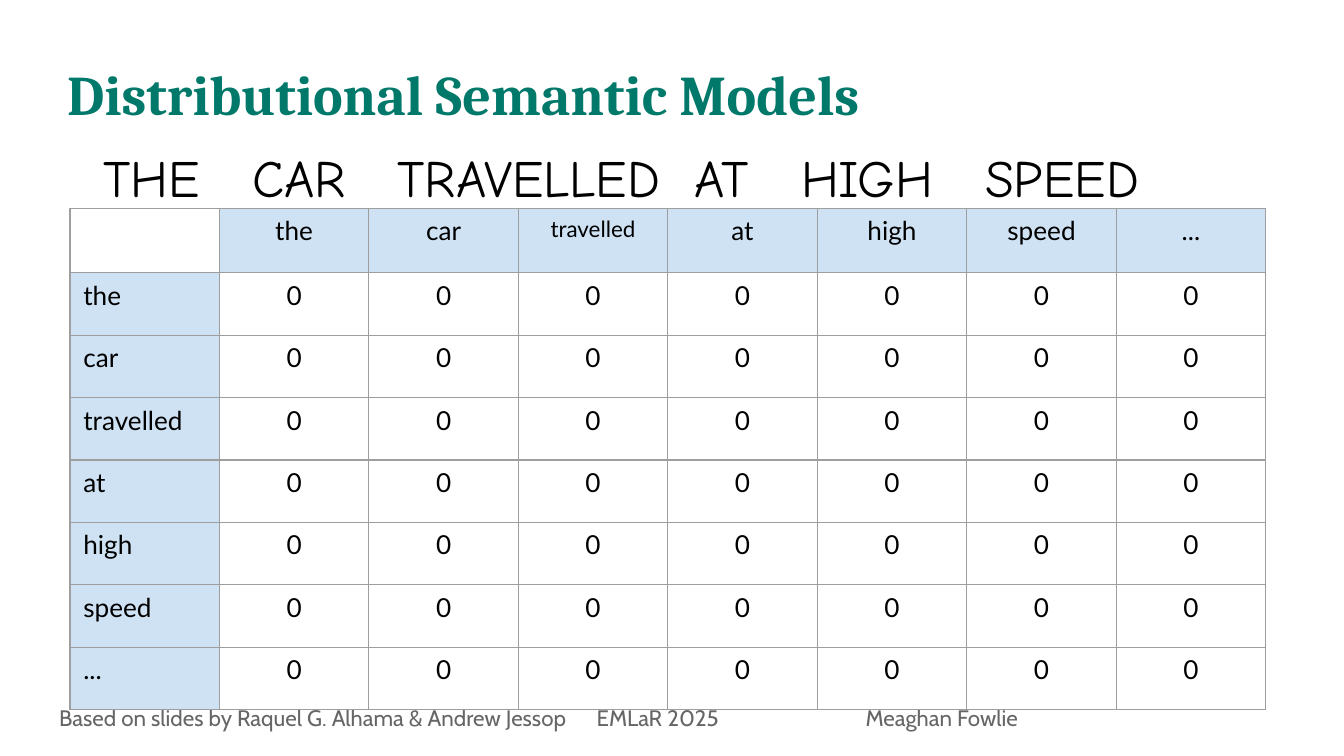
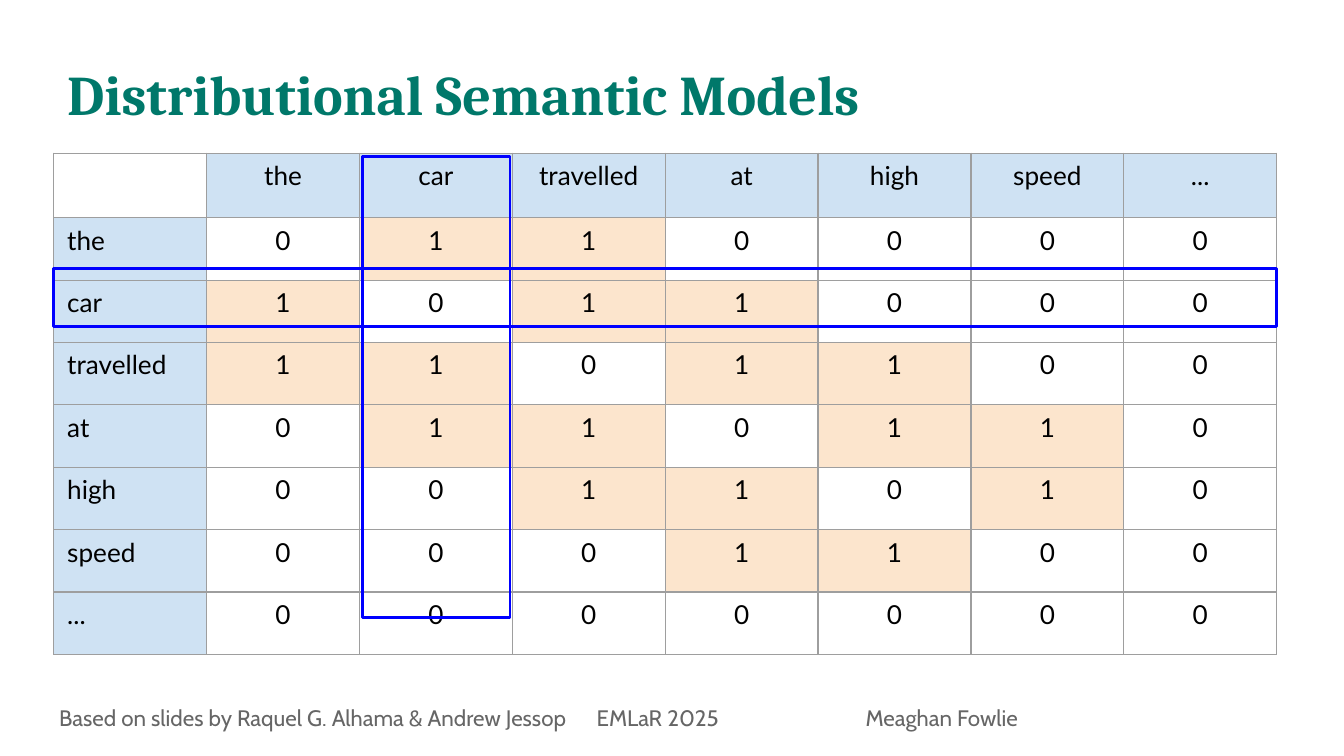
from dataclasses import dataclass

from lxml.etree import SubElement
from pptx import Presentation
from pptx.dml.color import RGBColor
from pptx.enum.shapes import MSO_SHAPE
from pptx.enum.text import MSO_ANCHOR, MSO_AUTO_SIZE, PP_ALIGN
from pptx.oxml.ns import qn
from pptx.slide import Slide, SlideLayout
from pptx.table import _Cell
from pptx.text.text import TextFrame
from pptx.util import Inches, Pt

COLORS = {
    "title": "00786A",
    "text": "000000",
    "footer": "666666",
    "paper": "FFFFFF",
    "label": "CFE2F3",
    "hit": "FCE5CD",
    "grid": "9E9E9E",
    "frame": "0000FF",
}
WORDS = ["the", "car", "travelled", "at", "high", "speed"]
LABELS = WORDS + ["..."]
WINDOW = 2
GRID_HEIGHT = 3.73
HEAD_HEIGHT = 0.48
ROW_HEIGHT = (GRID_HEIGHT - HEAD_HEIGHT) / len(LABELS)


@dataclass
class Box:
    left: float
    top: float
    width: float
    height: float
    turn: float = 0

    def place(self) -> tuple:
        return tuple(Inches(n) for n in (self.left, self.top, self.width, self.height))


@dataclass
class Grid:
    left: float
    top: float
    width: float
    counts: list[list[int]]
    long_size: int = 14


TITLE = Box(0.5, 0.22, 9, 0.94)
FOOTER = Box(0.44, 5.24, 8.6, 0.39)
PHRASE = Box(0.7, 1.05, 8.6, 0.51)
FRAMES = [Box(0.4, 2, 9.1, 0.43), Box(1.53, 2.33, 3.43, 1.1, 90)]


def rgb(name: str) -> RGBColor:
    return RGBColor.from_string(COLORS[name])


def write(frame: TextFrame, text: str, *, size: int, font: str, color: str = "text",
          bold: bool = False, align: PP_ALIGN = PP_ALIGN.LEFT,
          tabs: tuple[float, ...] = ()) -> None:
    frame.text = text
    line = frame.paragraphs[0]
    line.alignment = align
    if tabs:
        stops = SubElement(line._p.get_or_add_pPr(), qn("a:tabLst"))
        for stop in tabs:
            SubElement(stops, qn("a:tab"), pos=str(Inches(stop)), algn="l")
    line.font.size = Pt(size)
    line.font.name = font
    line.font.bold = bold
    line.font.color.rgb = rgb(color)


def set_frame(frame: TextFrame, side: float = 0, edge: float = 0) -> None:
    frame.word_wrap = True
    frame.auto_size = MSO_AUTO_SIZE.NONE
    frame.margin_left = frame.margin_right = Inches(side)
    frame.margin_top = frame.margin_bottom = Inches(edge)


def add_title(slide: Slide) -> None:
    title = slide.shapes.title
    title.left, title.top, title.width, title.height = TITLE.place()
    set_frame(title.text_frame)
    title.text_frame.vertical_anchor = MSO_ANCHOR.MIDDLE
    write(title.text_frame, "Distributional Semantic Models",
          size=30, font="Cambria", color="title", bold=True)
    slide.shapes.element.append(title.element)


def add_footer(slide: Slide, layout: SlideLayout) -> None:
    box = slide.shapes.add_textbox(*FOOTER.place())
    set_frame(box.text_frame)
    write(box.text_frame,
          "Based on slides by Raquel G. Alhama & Andrew Jessop\tEMLaR 2025\t\tMeaghan Fowlie",
          size=12, font="Cabin", color="footer", tabs=(4, 5, 6))
    layout.shapes.element.append(box.element)


def add_phrase(slide: Slide) -> None:
    box = slide.shapes.add_textbox(*PHRASE.place())
    set_frame(box.text_frame, 0.07, 0.03)
    write(box.text_frame, "\t".join(WORDS).upper(), size=28, font="Comic Neue",
          tabs=(1.11, 2.19, 4.4, 5.19, 6.56))


def add_frame(slide: Slide, box: Box) -> None:
    shape = slide.shapes.add_shape(MSO_SHAPE.RECTANGLE, *box.place())
    shape.rotation = box.turn
    shape.shadow.inherit = False
    shape.fill.background()
    shape.line.color.rgb = rgb("frame")
    shape.line.width = Pt(1.5)


def set_cell(cell: _Cell, fill: str | None) -> None:
    props = cell._tc.get_or_add_tcPr()
    for side in ("a:lnL", "a:lnR", "a:lnT", "a:lnB"):
        edge = SubElement(props, qn(side), w=str(Pt(0.75)))
        solid = SubElement(edge, qn("a:solidFill"))
        SubElement(solid, qn("a:srgbClr"), val=COLORS["grid"])
    if fill:
        cell.fill.solid()
        cell.fill.fore_color.rgb = rgb(fill)
    else:
        cell.fill.background()


def add_grid(slide: Slide, grid: Grid) -> None:
    count = len(LABELS) + 1
    box = Box(grid.left, grid.top, grid.width, GRID_HEIGHT)
    table = slide.shapes.add_table(count, count, *box.place()).table
    table.first_row = table.horz_banding = False
    for col in table.columns:
        col.width = Inches(grid.width / count)
    for i, row in enumerate(table.rows):
        row.height = Inches(ROW_HEIGHT if i else HEAD_HEIGHT)
        for j, cell in enumerate(row.cells):
            size, align = 14, PP_ALIGN.CENTER
            if i and j:
                value = grid.counts[i - 1][j - 1]
                text, fill = str(value), "hit" if value else None
            elif i:
                text, fill, align = LABELS[i - 1], "label", PP_ALIGN.LEFT
            elif j:
                text, fill = LABELS[j - 1], "label"
                size = grid.long_size if text == "travelled" else 14
            else:
                text, fill = "", "paper"
            set_cell(cell, fill)
            write(cell.text_frame, text, size=size, font="Lato", align=align)


def count_pairs(reach: int) -> list[list[int]]:
    last = len(WORDS)
    return [[int(0 < abs(i - j) <= reach and max(i, j) < last)
             for j in range(len(LABELS))] for i in range(len(LABELS))]


def main() -> None:
    deck = Presentation()
    deck.slide_width = Inches(10)
    deck.slide_height = Inches(10 * 9 / 16)
    layout = deck.slide_layouts[5]
    first = deck.slides.add_slide(layout)
    add_footer(first, layout)
    add_grid(first, Grid(0.52, 1.55, 8.9, count_pairs(0), 12))
    add_phrase(first)
    add_title(first)

    second = deck.slides.add_slide(layout)
    add_grid(second, Grid(0.4, 1.14, 9.1, count_pairs(WINDOW)))
    for box in FRAMES:
        add_frame(second, box)
    add_title(second)
    deck.save("out.pptx")


if __name__ == "__main__":
    main()
